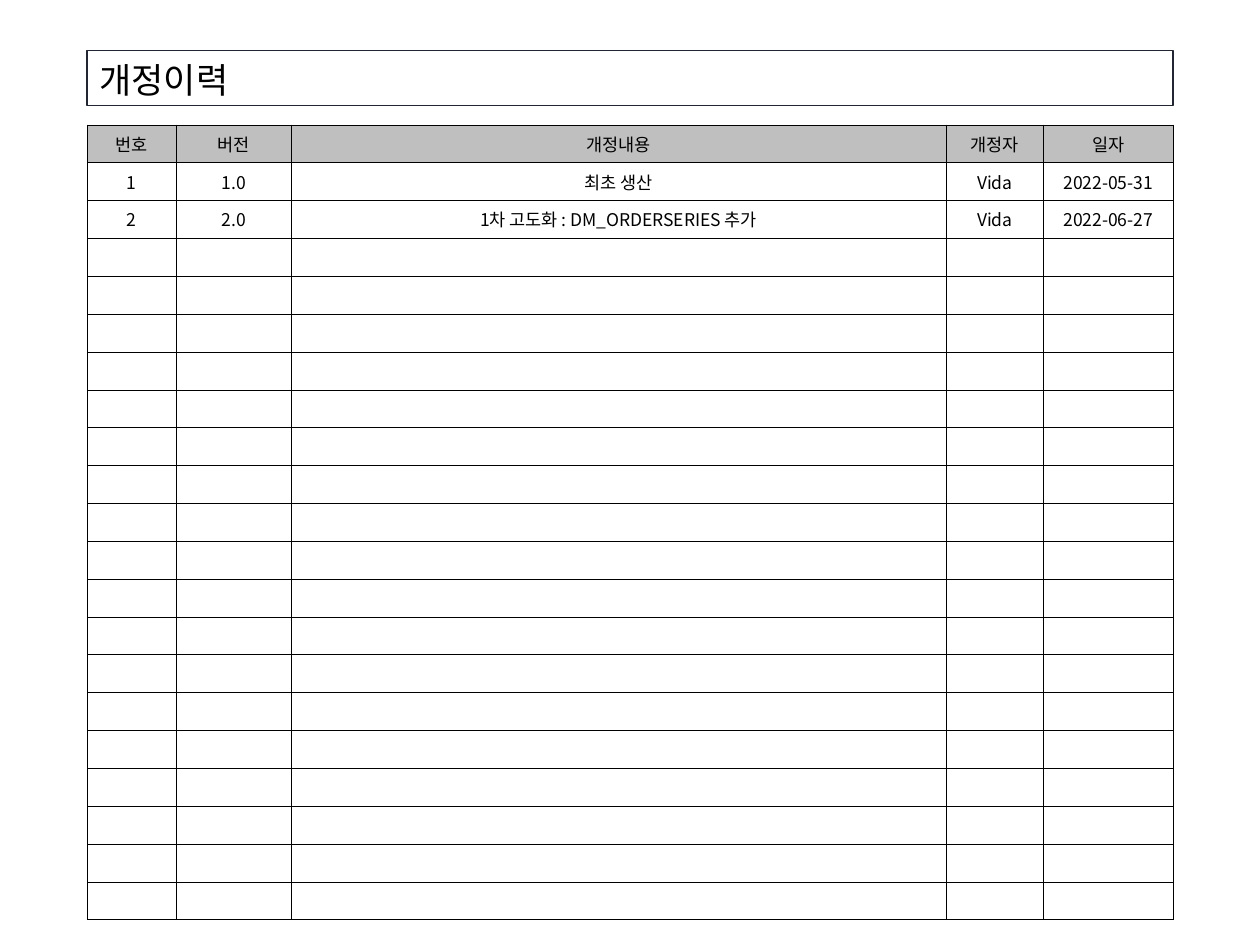
from typing import NamedTuple

from lxml.etree import SubElement
from pptx import Presentation
from pptx.dml.color import RGBColor
from pptx.enum.shapes import MSO_SHAPE
from pptx.enum.text import MSO_ANCHOR, PP_ALIGN
from pptx.oxml.ns import qn
from pptx.util import Inches, Pt

FONT = "Noto Sans CJK KR"
BLACK = RGBColor(0x00, 0x00, 0x00)
NAVY = RGBColor(0x22, 0x26, 0x33)
GRAY = RGBColor(0xBF, 0xBF, 0xBF)

LEFT = 0.69
ROW_COUNT = 21
TABLE_TOP, TABLE_HEIGHT = 0.99, 5.6
BORDER_WIDTH = Pt(0.25)
BODY_SIZE = 10


class Column(NamedTuple):
    heading: str
    width: float


class Revision(NamedTuple):
    number: str
    version: str
    content: str
    author: str
    date: str


COLUMNS = [
    Column("번호", 0.71),
    Column("버전", 0.91),
    Column("개정내용", 5.2),
    Column("개정자", 0.77),
    Column("일자", 1.03),
]
REVISIONS = [
    Revision("1", "1.0", "최초 생산", "Vida", "2022-05-31"),
    Revision("2", "2.0", "1차 고도화 : DM_ORDERSERIES 추가", "Vida", "2022-06-27"),
]


def format_run(r, size: float) -> None:
    r.font.size = Pt(size)
    r.font.color.rgb = BLACK
    r.font.name = FONT
    SubElement(r._r.get_or_add_rPr(), qn("a:ea"), typeface=FONT)


def add_borders(cell) -> None:
    tc_pr = cell._tc.get_or_add_tcPr()
    for side in ("lnL", "lnR", "lnT", "lnB"):
        ln = SubElement(tc_pr, qn(f"a:{side}"), w=str(BORDER_WIDTH))
        fill = SubElement(ln, qn("a:solidFill"))
        SubElement(fill, qn("a:srgbClr"), val=str(BLACK))


def fill_cell(cell, text: str, is_heading: bool) -> None:
    add_borders(cell)
    if is_heading:
        cell.fill.solid()
        cell.fill.fore_color.rgb = GRAY
    else:
        cell.fill.background()
    cell.vertical_anchor = MSO_ANCHOR.MIDDLE
    p = cell.text_frame.paragraphs[0]
    p.alignment = PP_ALIGN.CENTER
    if text:
        p.text = text
        format_run(p.runs[0], BODY_SIZE)
    else:
        # The end mark keeps an empty row as low as a written one.
        end = SubElement(p._p, qn("a:endParaRPr"), sz=str(BODY_SIZE * 100))
        for script in ("latin", "ea"):
            SubElement(end, qn(f"a:{script}"), typeface=FONT)


def add_revision_table(s) -> None:
    width = sum(column.width for column in COLUMNS)
    table = s.shapes.add_table(
        ROW_COUNT, len(COLUMNS), Inches(LEFT), Inches(TABLE_TOP),
        Inches(width), Inches(TABLE_HEIGHT),
    ).table
    table.first_row = table.horz_banding = False
    for table_column, column in zip(table.columns, COLUMNS):
        table_column.width = Inches(column.width)

    rows = [[column.heading for column in COLUMNS], *REVISIONS]
    rows += [[""] * len(COLUMNS)] * (ROW_COUNT - len(rows))
    for i, row in enumerate(rows):
        for j, text in enumerate(row):
            fill_cell(table.cell(i, j), text, is_heading=i == 0)


def add_title(s, text: str) -> None:
    sp = s.shapes.add_shape(
        MSO_SHAPE.RECTANGLE, Inches(LEFT), Inches(0.4), Inches(8.62), Inches(0.44)
    )
    sp.shadow.inherit = False
    sp.fill.background()
    sp.line.color.rgb = NAVY
    sp.line.width = Pt(0.75)
    tf = sp.text_frame
    tf.word_wrap = True
    tf.vertical_anchor = MSO_ANCHOR.MIDDLE
    p = tf.paragraphs[0]
    p.text = text
    p.alignment = PP_ALIGN.LEFT
    p.line_spacing = 1.07
    p.space_after = Pt(8)
    format_run(p.runs[0], 20)


def main() -> None:
    prs = Presentation()
    prs.slide_width, prs.slide_height = Inches(10), Inches(7.5)
    s = prs.slides.add_slide(prs.slide_layouts[6])
    add_revision_table(s)
    add_title(s, "개정이력")
    prs.save("out.pptx")


if __name__ == "__main__":
    main()
